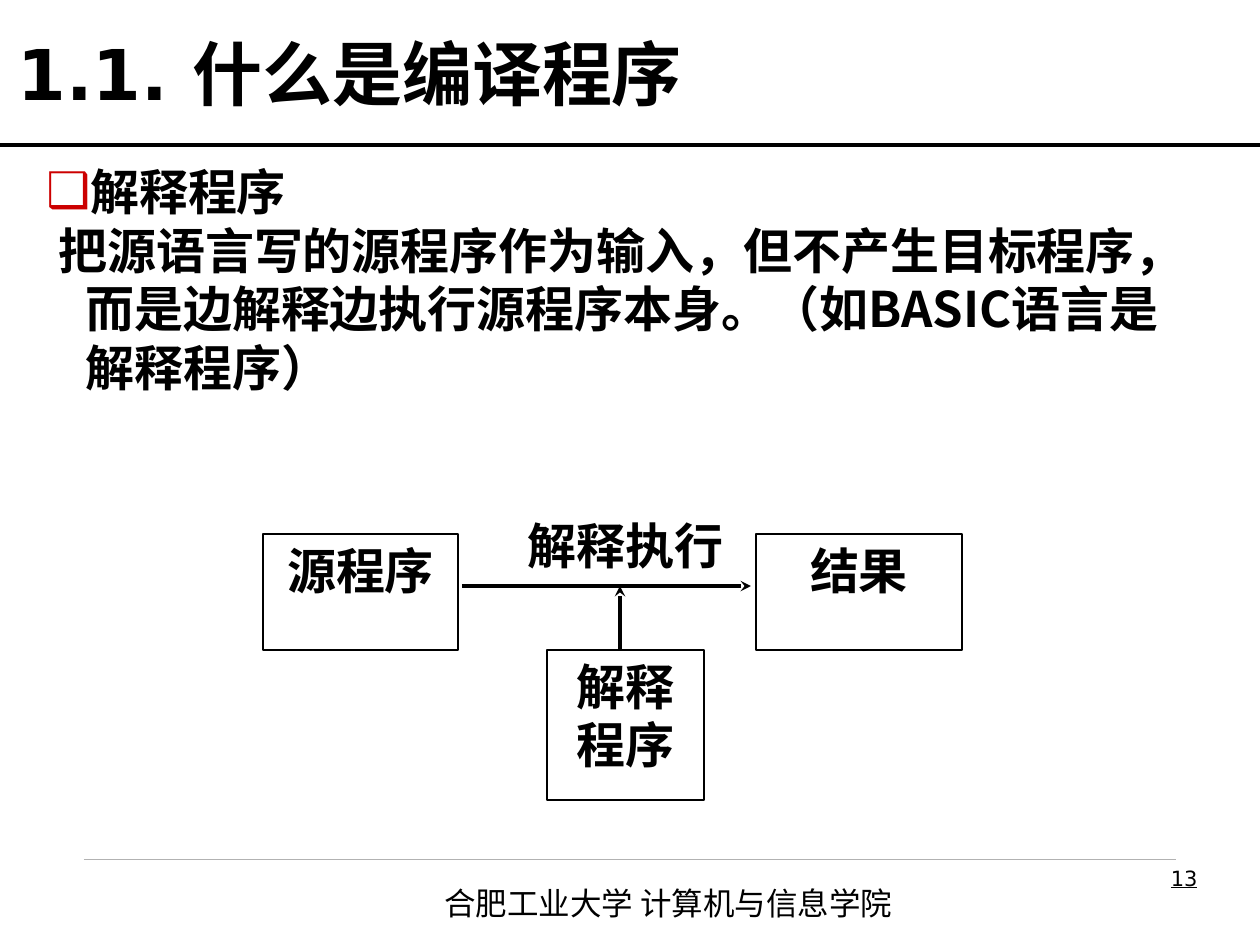
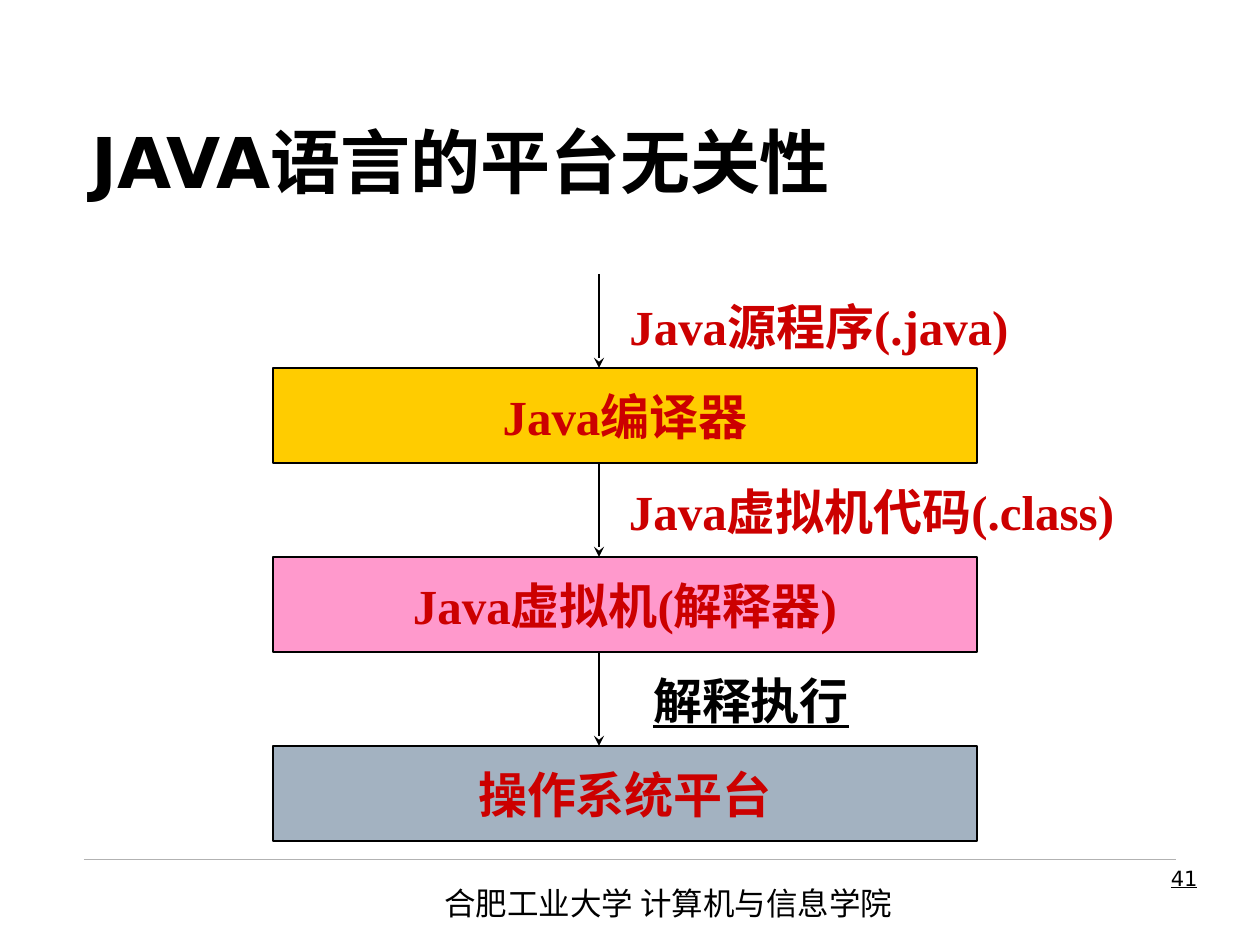
import pptx
import pptx.dml.color
import pptx.enum.shapes
import pptx.enum.text
import pptx.oxml.ns
import pptx.util
from lxml import etree

PX = 914400 / 126
COLORS = {
    "black": "000000", "red": "CC0000", "rule": "B2B2B2",
    "yellow": "FFCC00", "pink": "FF99CC", "slate": "A3B2C1",
}
SANS, CJK, SERIF = "DejaVu Sans", "Noto Sans CJK SC", "Times New Roman"
ALIGN = pptx.enum.text.PP_ALIGN
ANCHOR = pptx.enum.text.MSO_ANCHOR
FOOTER = "合肥工业大学 计算机与信息学院"


def px(n):
    return pptx.util.Emu(round(n * PX))


def rgb(name):
    return pptx.dml.color.RGBColor.from_string(COLORS[name])


def add_xml(parent, tag, **attrs):
    return etree.SubElement(parent, pptx.oxml.ns.qn(tag), attrs)


def format_paragraph(p, size=28, font=CJK, color="black", bold=True,
                     underline=False, align=ALIGN.LEFT):
    p.alignment = align
    p.font.size = pptx.util.Pt(size)
    p.font.bold = bold
    p.font.underline = underline
    p.font.color.rgb = rgb(color)
    p.font.name = font
    add_xml(p._p.get_or_add_pPr().get_or_add_defRPr(), "a:ea", typeface=CJK)


def write(tf, lines, anchor=ANCHOR.TOP, wrap=True, **style):
    """Fill a text frame with one equally formatted paragraph per line."""
    tf.word_wrap = wrap
    tf.auto_size = pptx.enum.text.MSO_AUTO_SIZE.NONE
    tf.vertical_anchor = anchor
    for i, line in enumerate(lines):
        p = tf.add_paragraph() if i else tf.paragraphs[0]
        p.text = line
        format_paragraph(p, **style)


def add_text(s, box, text, **style):
    sp = s.shapes.add_textbox(*map(px, box))
    write(sp.text_frame, [text], **style)


def add_label(s, box, text, **style):
    add_text(s, box, text, anchor=ANCHOR.MIDDLE, wrap=False, font=SERIF,
             align=ALIGN.CENTER, **style)


def add_box(s, box, lines, fill=None, width=0.75, **style):
    sp = s.shapes.add_shape(pptx.enum.shapes.MSO_SHAPE.RECTANGLE, *map(px, box))
    sp.shadow.inherit = False
    if fill:
        sp.fill.solid()
        sp.fill.fore_color.rgb = rgb(fill)
    else:
        sp.fill.background()
    sp.line.color.rgb = rgb("black")
    sp.line.width = pptx.util.Pt(width)
    write(sp.text_frame, lines, align=ALIGN.CENTER, **style)


def add_line(s, start, end, width, color="black", arrow=False):
    line = s.shapes.add_connector(pptx.enum.shapes.MSO_CONNECTOR.STRAIGHT,
                                  *map(px, (*start, *end)))
    line.line.color.rgb = rgb(color)
    line.line.width = pptx.util.Pt(width)
    if arrow:
        add_xml(line.line._get_or_add_ln(), "a:tailEnd", type="stealth")
    add_xml(line._element.spPr, "a:effectLst")


def add_slide(prs, title, title_box, number):
    """Add a slide with its title, footer rule, footer and page number."""
    s = prs.slides.add_slide(prs.slide_layouts[5])
    sp = s.shapes.title
    sp.left, sp.top, sp.width, sp.height = map(px, title_box)
    write(sp.text_frame, [title], anchor=ANCHOR.BOTTOM, size=40, font=SANS)
    add_line(s, (84, 859), (1176, 859), 0.25, "rule")
    add_text(s, (432, 878, 605, 50), FOOTER, size=18, bold=False)
    add_text(s, (937, 859, 273, 66), number, size=12, font=SANS, bold=False,
             underline=True, align=ALIGN.RIGHT)
    return s


def add_definition(s, box, term, meaning):
    """Add a bulleted term with its meaning below, on a hanging indent."""
    tf = s.shapes.add_textbox(*map(px, box)).text_frame
    tf.word_wrap = True
    for p, text, indent in ((tf.paragraphs[0], term, -39),
                            (tf.add_paragraph(), meaning, -27)):
        p.text = text
        pPr = p._p.get_or_add_pPr()
        pPr.set("marL", str(px(39)))
        pPr.set("indent", str(px(indent)))
        if text == term:
            add_xml(add_xml(pPr, "a:buClr"), "a:srgbClr", val=COLORS["red"])
            add_xml(pPr, "a:buFont", typeface=SANS)
            add_xml(pPr, "a:buChar", char="❑")
        else:
            add_xml(pPr, "a:buNone")
        format_paragraph(p)


def interpreter_slide(prs):
    s = add_slide(prs, "1.1. 什么是编译程序", (5, 16, 1071, 105), "13")
    add_line(s, (0, 145), (1260, 145), 2.25)
    add_definition(
        s, (34, 155, 1155, 248), "解释程序",
        "把源语言写的源程序作为输入，但不产生目标程序，而是边解释边执行源程序本身。"
        "（如BASIC语言是解释程序）")
    add_box(s, (263, 534, 195, 116), ["源程序"])
    add_box(s, (756, 534, 206, 116), ["结果"], font=SERIF)
    add_box(s, (547, 650, 157, 150), ["解释", "程序"])
    add_line(s, (462, 586), (751, 586), 2, arrow=True)
    add_line(s, (620, 650), (620, 586), 2, arrow=True)
    add_label(s, (547, 503, 157, 84), "解释执行")


def java_slide(prs):
    s = add_slide(prs, "JAVA语言的平台无关性", (79, 42, 1103, 167), "41")
    box_h, pitch, first_top = 95, 189, 368
    arrow_x, arrow_h = 599, pitch - box_h
    stages = [
        ("Java编译器", "yellow"),
        ("Java虚拟机(解释器)", "pink"),
        ("操作系统平台", "slate"),
    ]
    inputs = [
        ("Java源程序(.java)", (630, 284, 378, 84), {"color": "red"}),
        ("Java虚拟机代码(.class)", (630, 463, 483, 95), {"color": "red"}),
        ("解释执行", (630, 652, 242, 95), {"underline": True}),
    ]
    for i, ((stage, fill), (text, box, style)) in enumerate(zip(stages, inputs)):
        top = first_top + i * pitch
        add_box(s, (273, top, 704, box_h), [stage], fill, 1.5, font=SERIF,
                color="red", anchor=ANCHOR.MIDDLE, wrap=False)
        add_line(s, (arrow_x, top - arrow_h), (arrow_x, top), 1, arrow=True)
        add_label(s, box, text, **style)


def main():
    prs = pptx.Presentation()
    prs.slide_width, prs.slide_height = px(1260), px(945)
    interpreter_slide(prs)
    java_slide(prs)
    prs.save("out.pptx")


if __name__ == "__main__":
    main()
